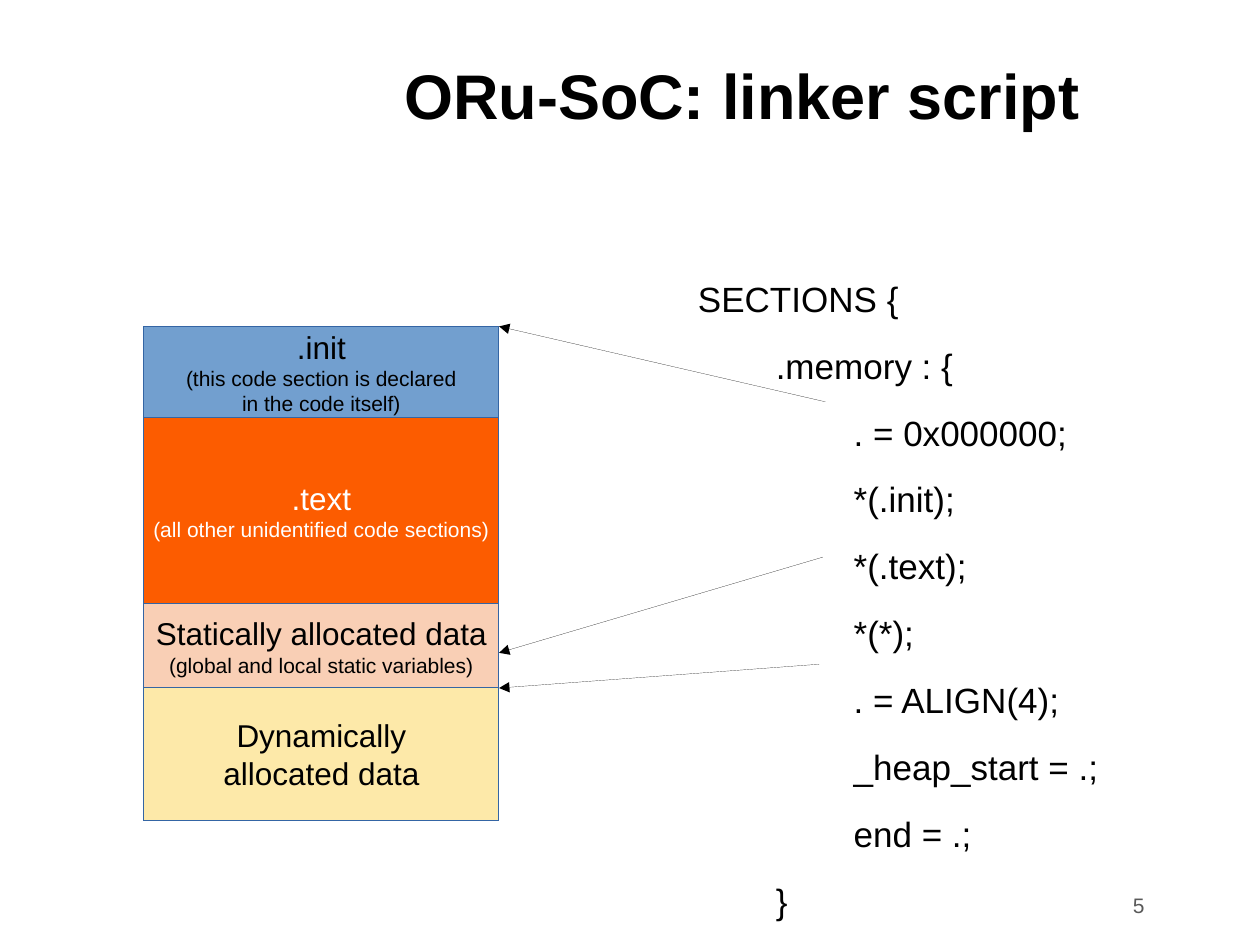
from pptx import Presentation
from pptx.dml.color import RGBColor
from pptx.enum.shapes import MSO_CONNECTOR as Link, MSO_SHAPE as Shape
from pptx.enum.text import MSO_ANCHOR as Anchor, PP_ALIGN as Align
from pptx.oxml.ns import qn
from pptx.util import Cm, Pt
from lxml.etree import SubElement

TITLE = "ORu-SoC: linker script"
PAGE = "5"

# indent level, code line
CODE = [
    (0, "SECTIONS {"),
    (1, ".memory : {"),
    (2, ". = 0x000000;"),
    (2, "*(.init);"),
    (2, "*(.text);"),
    (2, "*(*);"),
    (2, ". = ALIGN(4);"),
    (2, "_heap_start = .;"),
    (2, "end = .;"),
    (1, "}"),
]

# height (cm), fill, text colour, lines as (text, size)
BLOCKS = [
    (1.83, "729FCF", "000000", [(".init", 18),
                                ("(this code section is declared", 12),
                                ("in the code itself)", 12)]),
    (3.76, "FC5C00", "FFFFFF", [(".text", 18),
                                ("(all other unidentified code sections)", 12)]),
    (1.7, "F9CFB5", "000000", [("Statically allocated data", 18),
                               ("(global and local static variables)", 12)]),
    (2.67, "FDE9A9", "000000", [("Dynamically", 18),
                                ("allocated data", 18)]),
]
LEFT, TOP, WIDTH = 2.9, 6.58, 7.16

# start x, start y, block pointed at, distance below its top (cm)
ARROWS = [
    (16.64, 8.1, 0, 0),
    (16.59, 11.23, 2, 0.99),
    (16.51, 13.39, 3, 0),
]
INDENT = 1.57


def color(code):
    return RGBColor.from_string(code)


def style(para, size, code, align=Align.LEFT, bold=False):
    para.alignment = align
    font = para.font
    font.name, font.size, font.bold = "Arial", Pt(size), bold
    font.color.rgb = color(code)


def add_text(x, y, w, h, anchor=Anchor.MIDDLE):
    frame = slide.shapes.add_textbox(Cm(x), Cm(y), Cm(w), Cm(h)).text_frame
    frame.word_wrap = True
    frame.vertical_anchor = anchor
    return frame


def fill_lines(frame, texts):
    """Write one paragraph per text and return the paragraphs."""
    frame.text = "\n".join(texts)
    return frame.paragraphs


def hairline(shape, code):
    """Give the shape the thinnest line and return the line's XML."""
    shape.line.color.rgb = color(code)
    line = shape._element.spPr.find(qn("a:ln"))
    line.set("w", "0")
    return line


def add_block(y, height, fill, ink, lines):
    box = slide.shapes.add_shape(Shape.RECTANGLE, Cm(LEFT), Cm(y), Cm(WIDTH), Cm(height))
    box.shadow.inherit = False
    box.fill.solid()
    box.fill.fore_color.rgb = color(fill)
    hairline(box, "3465A4")
    frame = box.text_frame
    frame.word_wrap = False
    frame.vertical_anchor = Anchor.MIDDLE
    paras = fill_lines(frame, [text for text, _ in lines])
    for para, (_, size) in zip(paras, lines):
        style(para, size, ink, Align.CENTER)


def add_arrow(x, y, end_x, end_y):
    arrow = slide.shapes.add_connector(Link.STRAIGHT, Cm(x), Cm(y), Cm(end_x), Cm(end_y))
    SubElement(hairline(arrow, "000000"), qn("a:tailEnd"), type="triangle")
    SubElement(arrow._element.spPr, qn("a:effectLst"))


deck = Presentation()
deck.slide_width, deck.slide_height = Cm(25.4), Cm(19.05)
slide = deck.slides.add_slide(deck.slide_layouts[6])

title = add_text(7.9, 0.69, 16.1, 2.41)
title.text = TITLE
style(title.paragraphs[0], 36, "000000", bold=True)

code = add_text(14.07, 5.59, 11.3, 11.2, Anchor.TOP)
code.margin_left = code.margin_right = code.margin_top = code.margin_bottom = 0
for para, (level, _) in zip(fill_lines(code, [text for _, text in CODE]), CODE):
    style(para, 20, "000000")
    para.space_before = Pt(14.2)
    para._p.get_or_add_pPr().set("marL", str(Cm(level * INDENT)))

tops = [TOP + sum(block[0] for block in BLOCKS[:i]) for i in range(len(BLOCKS))]
for y, block in zip(tops, BLOCKS):
    add_block(y, *block)

for x, y, target, drop in ARROWS:
    add_arrow(x, y, LEFT + WIDTH, tops[target] + drop)

page = add_text(18.24, 17.81, 5.08, 0.86)
page.text = PAGE
style(page.paragraphs[0], 12, "595959", Align.RIGHT)

deck.save("out.pptx")
